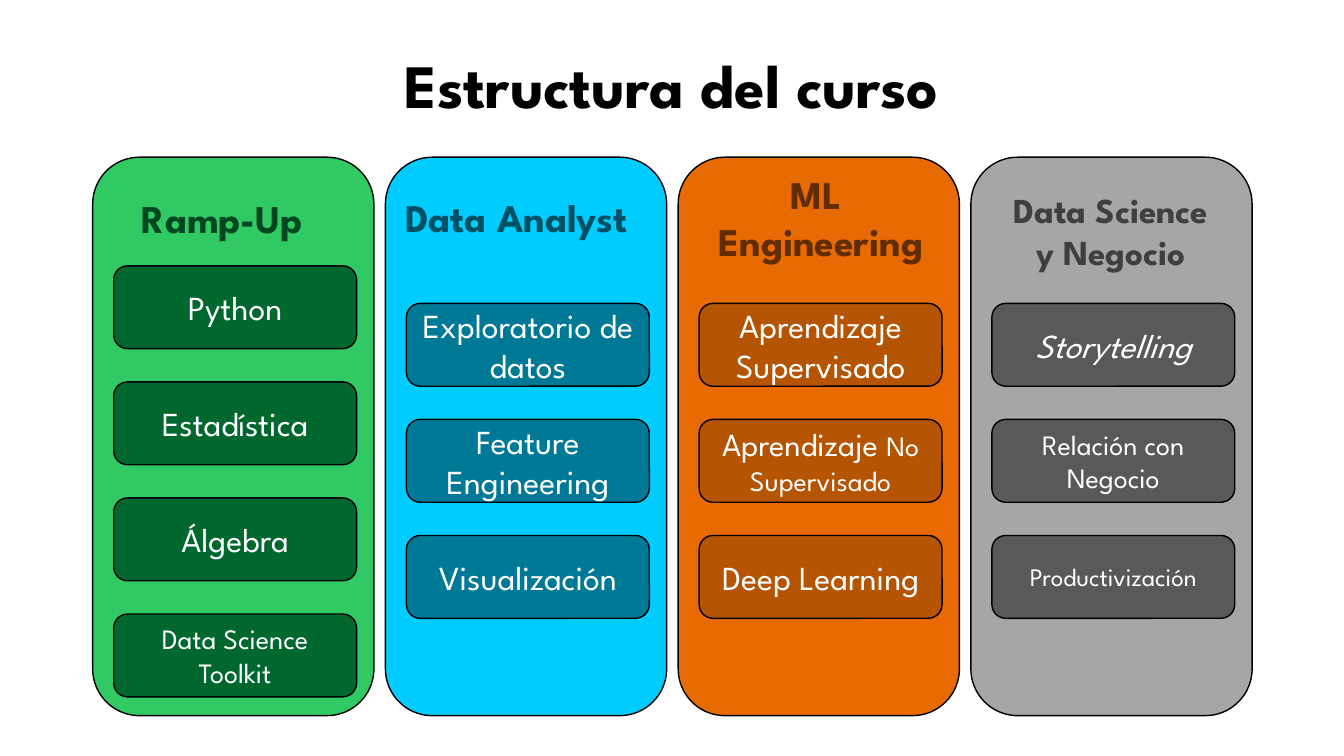
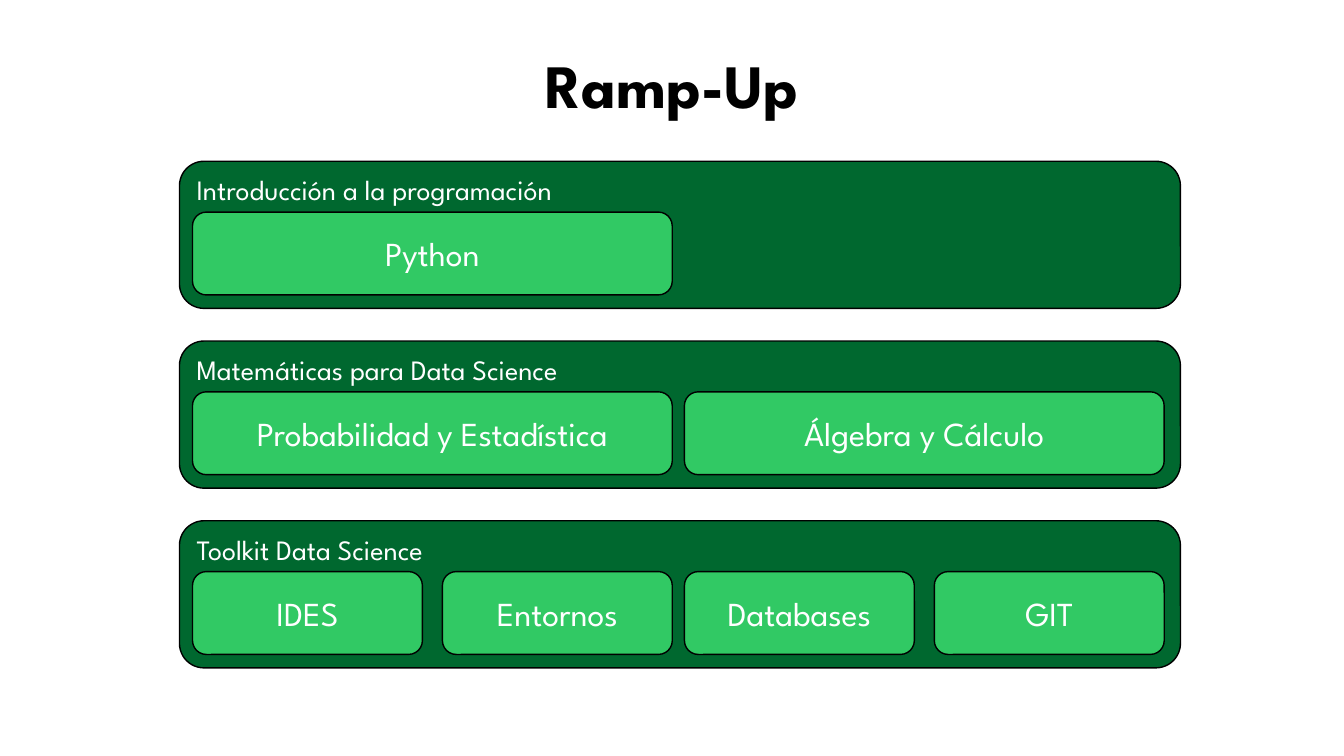
from pptx import Presentation
from pptx.dml.color import RGBColor
from pptx.enum.shapes import MSO_SHAPE
from pptx.enum.text import MSO_ANCHOR, MSO_AUTO_SIZE, PP_ALIGN
from pptx.util import Pt

FONT = "League Spartan"
BLACK = RGBColor(0x00, 0x00, 0x00)
WHITE = RGBColor(0xFF, 0xFF, 0xFF)
GREEN = RGBColor(0x31, 0xC9, 0x64)
DARK_GREEN = RGBColor(0x00, 0x68, 0x2F)
DEEP_GREEN = RGBColor(0x00, 0x46, 0x20)
CYAN = RGBColor(0x00, 0xCC, 0xFF)
TEAL = RGBColor(0x00, 0x79, 0x96)
DEEP_TEAL = RGBColor(0x00, 0x51, 0x64)
ORANGE = RGBColor(0xE7, 0x6A, 0x03)
DARK_ORANGE = RGBColor(0xB5, 0x54, 0x03)
BROWN = RGBColor(0x62, 0x2D, 0x02)
GRAY = RGBColor(0xA6, 0xA6, 0xA6)
DARK_GRAY = RGBColor(0x59, 0x59, 0x59)
CHARCOAL = RGBColor(0x3F, 0x3F, 0x3F)

BOX_HEIGHT = 59.2

prs = Presentation()
prs.slide_width, prs.slide_height = Pt(960), Pt(540)


def add_titled_slide(text):
    slide = prs.slides.add_slide(prs.slide_layouts[5])
    title = slide.shapes.title
    title.left, title.top, title.width, title.height = Pt(66), Pt(10.8), Pt(828), Pt(104.4)
    frame = title.text_frame
    frame.text = text
    frame.auto_size = MSO_AUTO_SIZE.NONE
    frame.vertical_anchor = MSO_ANCHOR.MIDDLE
    paragraph = frame.paragraphs[0]
    paragraph.alignment = PP_ALIGN.CENTER
    paragraph.line_spacing = 0.9
    font = paragraph.font
    font.name, font.size, font.bold, font.color.rgb = FONT, Pt(44), True, BLACK
    return slide


def add_box(slide, left, top, width, height, fill, text="", size=24, align=PP_ALIGN.CENTER):
    """Draw an outlined rounded box; each line of text becomes a paragraph."""
    box = slide.shapes.add_shape(
        MSO_SHAPE.ROUNDED_RECTANGLE, Pt(left), Pt(top), Pt(width), Pt(height))
    box.shadow.inherit = False
    box.fill.solid()
    box.fill.fore_color.rgb = fill
    box.line.color.rgb = BLACK
    box.line.width = Pt(1)
    frame = box.text_frame
    frame.text = text
    frame.word_wrap = True
    frame.vertical_anchor = MSO_ANCHOR.MIDDLE
    for paragraph in frame.paragraphs:
        paragraph.alignment = align
        font = paragraph.font
        font.name, font.size, font.color.rgb = FONT, Pt(size), WHITE
    return box


# Course structure: one column per module
COLUMN_LEFT, COLUMN_TOP, COLUMN_PITCH = 66.2, 112.3, 209.1
TOPIC_PITCH = 82.9

# heading, size, alignment, offset in column, top, width, wrap, colours, first topic top, topics
modules = [
    ("Ramp-Up", 28, PP_ALIGN.LEFT, 28.1, 135.4, 143.3, False,
     GREEN, DARK_GREEN, DEEP_GREEN, 189.9,
     [("Python", 24), ("Estadística", 24), ("Álgebra", 24), ("Data Science\nToolkit", 20)]),
    ("Data Analyst", 28, PP_ALIGN.LEFT, 7, 134.6, 188.6, False,
     CYAN, TEAL, DEEP_TEAL, 216.7,
     [("Exploratorio de datos", 24), ("Feature Engineering", 24), ("Visualización", 24)]),
    ("ML \nEngineering", 28, PP_ALIGN.CENTER, 13.8, 118.1, 176.4, False,
     ORANGE, DARK_ORANGE, BROWN, 216.7,
     [("Aprendizaje Supervisado", 24), ("Aprendizaje ", 23), ("Deep Learning", 24)]),
    ("Data Science\ny Negocio", 25, PP_ALIGN.CENTER, 8.5, 131, 182.9, True,
     GRAY, DARK_GRAY, CHARCOAL, 216.7,
     [("Storytelling", 24), ("Relación con Negocio", 20), ("Productivización", 18)]),
]

structure = add_titled_slide("Estructura del curso")
topic_paragraphs = {}
for column, (heading, size, align, offset, heading_top, heading_width, wrap,
             column_fill, topic_fill, heading_color, first_top, topics) in enumerate(modules):
    left = COLUMN_LEFT + column * COLUMN_PITCH
    add_box(structure, left, COLUMN_TOP, 200.9, 398.9, column_fill)

    label = structure.shapes.add_textbox(
        Pt(left + offset), Pt(heading_top), Pt(heading_width), Pt(41))
    label.text_frame.text = heading
    label.text_frame.word_wrap = wrap
    for paragraph in label.text_frame.paragraphs:
        paragraph.alignment = align
        font = paragraph.font
        font.name, font.size, font.bold, font.color.rgb = FONT, Pt(size), True, heading_color

    for row, (topic, topic_size) in enumerate(topics):
        box = add_box(structure, left + 15, first_top + row * TOPIC_PITCH, 173.5, BOX_HEIGHT,
                      topic_fill, topic, topic_size)
        topic_paragraphs[topic] = box.text_frame.paragraphs[0]

topic_paragraphs["Storytelling"].font.italic = True
unsupervised = topic_paragraphs["Aprendizaje "].add_run()
unsupervised.text = "No Supervisado"
unsupervised.font.size = Pt(20)

# Ramp-Up: one band per block, its subjects in two halves
BAND_LEFT, BAND_TOP, BAND_PITCH = 128.2, 115.2, 128.4
HALF, QUARTER = 342.7, 164.2
LEFT_HALF, RIGHT_HALF = 137.5, 488.9
SPLIT = HALF - QUARTER

blocks = [
    ("Introducción a la programación", [("Python", LEFT_HALF, HALF)]),
    ("Matemáticas para Data Science", [
        ("Probabilidad y Estadística", LEFT_HALF, HALF),
        ("Álgebra y Cálculo", RIGHT_HALF, HALF)]),
    ("Toolkit Data Science", [
        ("IDES", LEFT_HALF, QUARTER),
        ("Entornos", LEFT_HALF + SPLIT, QUARTER),
        ("Databases", RIGHT_HALF, QUARTER),
        ("GIT", RIGHT_HALF + SPLIT, QUARTER)]),
]

ramp_up = add_titled_slide("Ramp-Up")
for row, (block, subjects) in enumerate(blocks):
    top = BAND_TOP + row * BAND_PITCH
    band = add_box(ramp_up, BAND_LEFT, top, 715, 105.1, DARK_GREEN, block, 20, PP_ALIGN.LEFT)
    band.text_frame.vertical_anchor = MSO_ANCHOR.TOP
    band.text_frame.margin_top = Pt(3)
    for subject, left, width in subjects:
        add_box(ramp_up, left, top + 36.3, width, BOX_HEIGHT, GREEN, subject)

prs.save("out.pptx")
